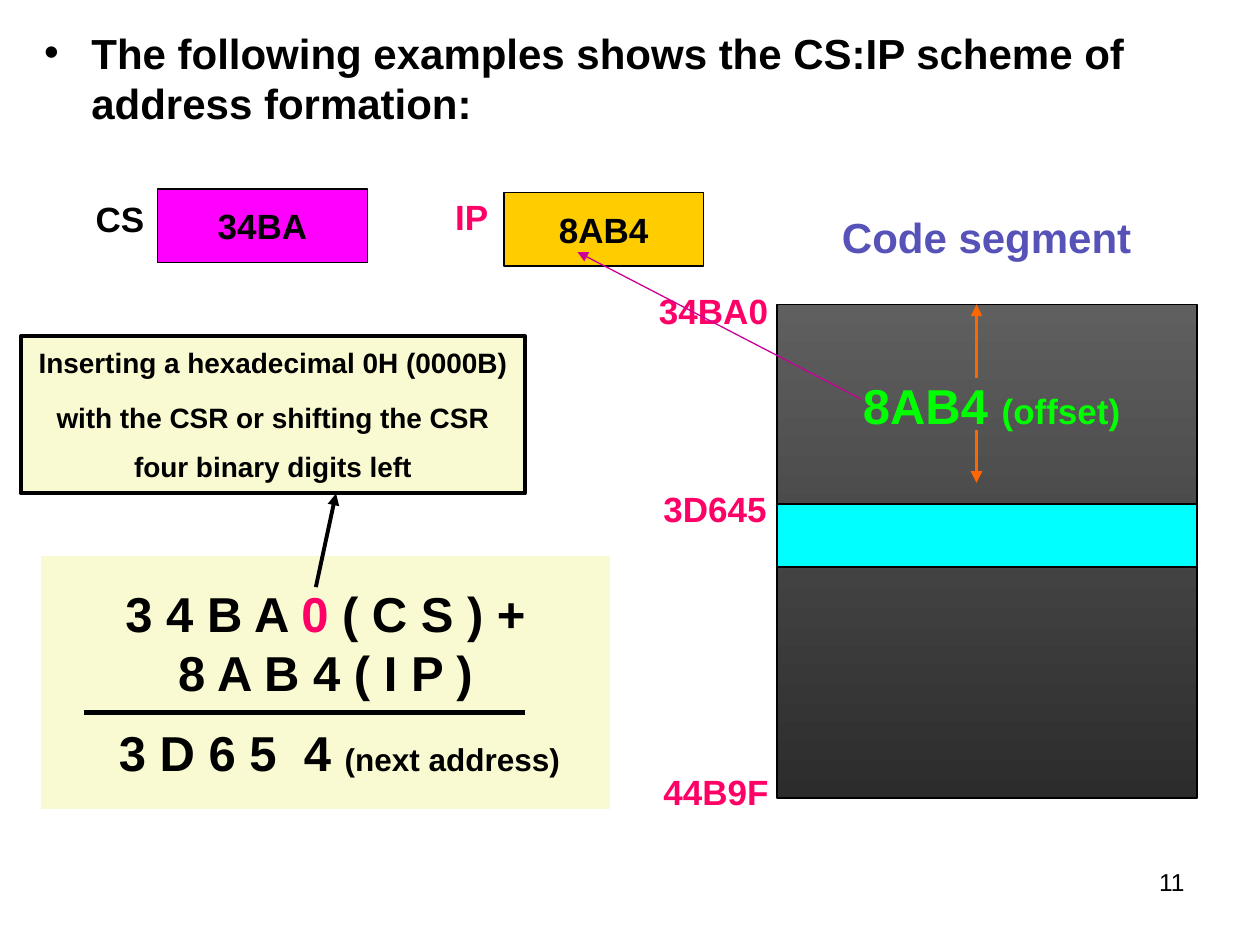
import pptx
import pptx.util
import pptx.dml.color
import pptx.enum.shapes
import pptx.enum.text
import pptx.oxml.ns
from dataclasses import dataclass
from lxml import etree

Pt = pptx.util.Pt
RGB = pptx.dml.color.RGBColor.from_string
ALIGN = pptx.enum.text.PP_ALIGN
qn = pptx.oxml.ns.qn


@dataclass(frozen=True)
class Theme:
    font: str = "Arial"
    black: str = "000000"
    pink: str = "FF0066"
    cream: str = "FAFAD2"
    magenta: str = "FF00FF"
    gold: str = "FFCC00"
    cyan: str = "00FFFF"
    green: str = "00FF00"
    violet: str = "5752B8"
    orange: str = "FF6600"
    purple: str = "CC0099"
    gray_top: str = "5F5F5F"
    gray_bottom: str = "2C2C2C"
    number: int = 14
    note: int = 16
    small: int = 18
    label: int = 20
    heading: int = 24
    sum: int = 28


theme = Theme()


def write(para, spans, size, align=ALIGN.LEFT, bold=True):
    para.alignment = align
    para.font.name = theme.font
    para.font.size = Pt(size)
    para.font.bold = bold
    colors = {color for _, color, _ in spans}
    if len(colors) == 1:
        para.font.color.rgb = RGB(spans[0][1])
    for text, color, span_size in spans:
        span = para.add_run()
        span.text = text
        if len(colors) > 1:
            span.font.color.rgb = RGB(color)
        if span_size != size:
            span.font.size = Pt(span_size)


def add_rectangle(page, bounds, fill, line, width=0.75):
    box = page.shapes.add_shape(
        pptx.enum.shapes.MSO_SHAPE.RECTANGLE, *[Pt(value) for value in bounds])
    box.shadow.inherit = False
    if fill:
        box.fill.solid()
        box.fill.fore_color.rgb = RGB(fill)
    box.line.color.rgb = RGB(line)
    box.line.width = Pt(width)
    box.text_frame.vertical_anchor = pptx.enum.text.MSO_ANCHOR.MIDDLE
    return box


deck = pptx.Presentation()
deck.slide_width, deck.slide_height = Pt(720), Pt(540)
page = deck.slides.add_slide(deck.slide_layouts[1])
title = page.shapes.title
title.element.getparent().remove(title.element)

body = page.placeholders[1]
body.left, body.top, body.width, body.height = Pt(18), Pt(12), Pt(684), Pt(498)
para = body.text_frame.paragraphs[0]
properties = para._p.get_or_add_pPr()
properties.set("marL", str(Pt(27)))
properties.set("indent", str(Pt(-27)))
etree.SubElement(properties, qn("a:buChar")).set("char", "•")
para.space_before = Pt(0)
write(para, [("The following examples shows the CS:IP scheme of address formation:",
              theme.black, theme.heading)], theme.heading)

note = add_rectangle(page, (12, 192, 288, 90), theme.cream, theme.black, 2.25)
note_lines = [
    ("Inserting a hexadecimal 0H (0000B)", 0),
    ("with the CSR or shifting the CSR", 12),
    ("four binary digits left", 9),
]
frame = note.text_frame
for index, (text, gap) in enumerate(note_lines):
    para = frame.add_paragraph() if index else frame.paragraphs[0]
    para.space_before = Pt(gap)
    write(para, [(text, theme.black, theme.note)], theme.note, ALIGN.CENTER)

addition = add_rectangle(page, (24, 318, 324, 144), theme.cream, theme.cream)
addition_lines = [
    ([("3 4 B A ", theme.black, theme.sum), ("0", theme.pink, theme.sum),
      (" ( C S ) +", theme.black, theme.sum)], 0, 0),
    ([("8 A B 4 ( I P )", theme.black, theme.sum)], 0, 0),
    ([("3 D 6 5  4 ", theme.black, theme.sum),
      ("(next address)", theme.black, theme.small)], 12, 16),
]
frame = addition.text_frame
for index, (spans, gap, indent) in enumerate(addition_lines):
    para = frame.add_paragraph() if index else frame.paragraphs[0]
    para._p.get_or_add_pPr().set("marL", str(Pt(indent)))
    para.space_before = Pt(gap)
    write(para, spans, theme.sum, ALIGN.CENTER)

registers = [
    ("34BA", (90, 108, 120, 42), theme.magenta),
    ("8AB4", (288, 110, 114, 42), theme.gold),
]
for text, bounds, fill in registers:
    register = add_rectangle(page, bounds, fill, theme.black)
    write(register.text_frame.paragraphs[0], [(text, theme.black, theme.label)],
          theme.label, ALIGN.CENTER)

segment = add_rectangle(page, (444, 174, 240, 282), None, theme.black)
segment.fill.gradient()
segment.fill.gradient_angle = 270
for stop, color in zip(segment.fill.gradient_stops, (theme.gray_top, theme.gray_bottom)):
    stop.color.rgb = RGB(color)
add_rectangle(page, (444, 288, 240, 36), theme.cyan, theme.black)

labels = [
    ("CS", (47.5, 109.5, 48, 32), theme.black, theme.label),
    ("IP", (253, 108, 42, 32), theme.pink, theme.label),
    ("34BA0", (369.5, 162, 78, 32), theme.pink, theme.label),
    ("3D645", (372, 275, 84, 32), theme.pink, theme.label),
    ("44B9F", (372, 437, 90, 32), theme.pink, theme.label),
    ("Code segment", (474, 117.5, 192, 36), theme.violet, theme.heading),
    ("8AB4 ", (486, 211, 168, 41), theme.green, theme.sum),
    ("11", (516, 492, 168, 37), theme.black, theme.number),
]
for text, bounds, color, size in labels:
    box = page.shapes.add_textbox(*[Pt(value) for value in bounds])
    box.text_frame.word_wrap = True
    spans = [(text, color, size)]
    if size == theme.sum:
        spans.append(("(offset)", color, theme.label))
    is_number = size == theme.number
    write(box.text_frame.paragraphs[0], spans, size,
          ALIGN.RIGHT if is_number else ALIGN.LEFT, not is_number)

lines = [
    ((48, 407, 300, 407), theme.black, 3, False),
    ((558, 216, 558, 174), theme.orange, 2.25, True),
    ((558, 246, 558, 276), theme.orange, 2.25, True),
    ((180.5, 335.5, 192, 282), theme.black, 2.25, True),
    ((492, 228, 330, 144), theme.purple, 0.75, True),
]
for ends, color, width, has_arrow in lines:
    line = page.shapes.add_connector(
        pptx.enum.shapes.MSO_CONNECTOR.STRAIGHT, *[Pt(value) for value in ends])
    line.line.color.rgb = RGB(color)
    line.line.width = Pt(width)
    if has_arrow:
        etree.SubElement(line.line._get_or_add_ln(), qn("a:tailEnd")).set("type", "triangle")
    etree.SubElement(line._element.spPr, qn("a:effectLst"))

deck.save("out.pptx")
